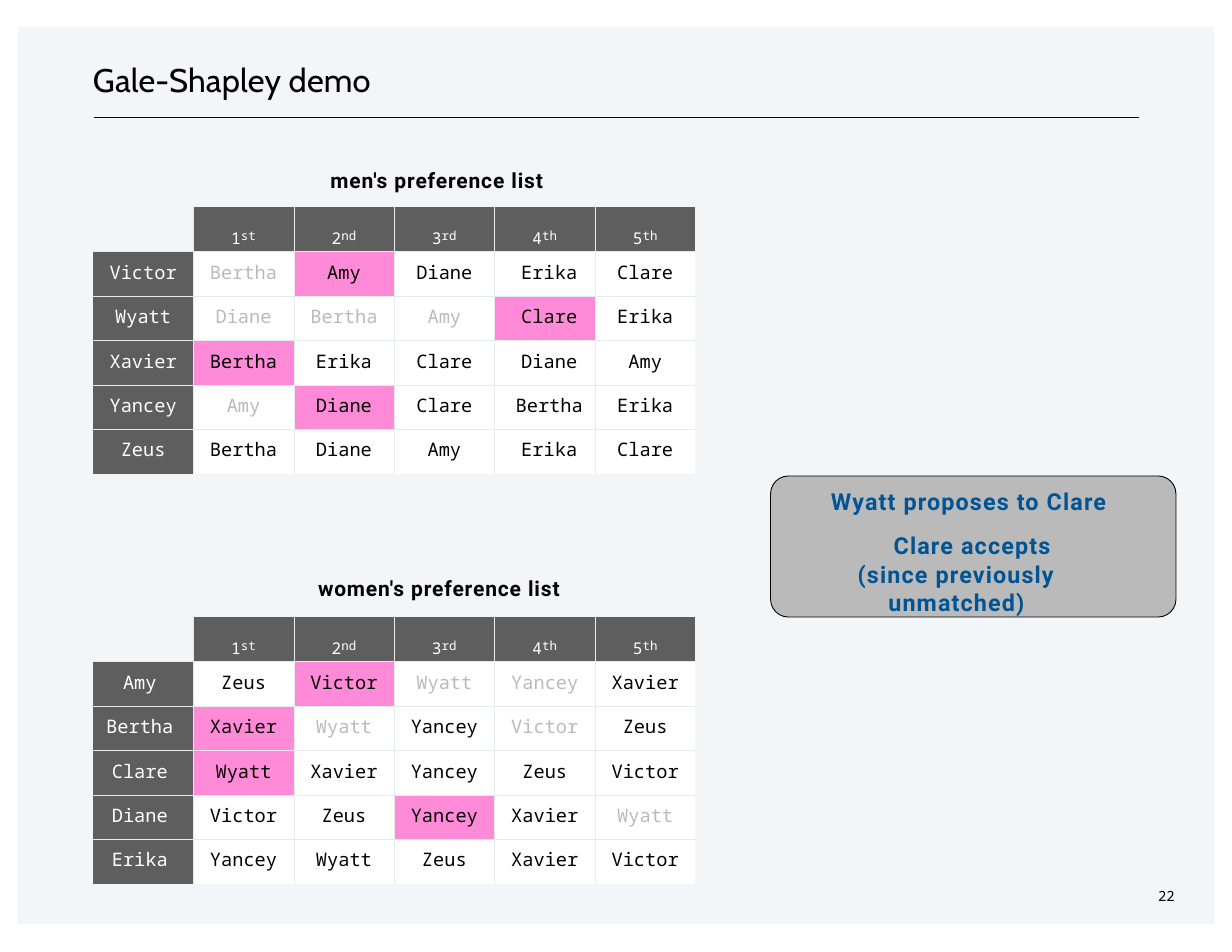
"""Build the Gale-Shapley demo slide with its two preference tables."""
import lxml.etree
import pptx
import pptx.dml.color
import pptx.enum.shapes
import pptx.enum.text
import pptx.oxml.ns
import pptx.util

Inches = pptx.util.Inches
Pt = pptx.util.Pt
RGBColor = pptx.dml.color.RGBColor
Align = pptx.enum.text.PP_ALIGN
Shape = pptx.enum.shapes.MSO_SHAPE
qn = pptx.oxml.ns.qn

BLACK = RGBColor(0x00, 0x00, 0x00)
WHITE = RGBColor(0xFF, 0xFF, 0xFF)
BLUE = RGBColor(0x00, 0x54, 0x93)
PALE = RGBColor(0xF2, 0xF6, 0xF9)
DARK = RGBColor(0x5E, 0x5E, 0x5E)
GRAY = RGBColor(0xBA, 0xBA, 0xBA)
PINK = RGBColor(0xFF, 0x8A, 0xD8)
GRID = RGBColor(0xE7, 0xEA, 0xEB)

ORDINALS = [("1", "st"), ("2", "nd"), ("3", "rd"), ("4", "th"), ("5", "th")]
MATCHED, REJECTED = "*", "-"
MEN = """
Victor -Bertha *Amy Diane Erika Clare
Wyatt -Diane -Bertha -Amy *Clare Erika
Xavier *Bertha Erika Clare Diane Amy
Yancey -Amy *Diane Clare Bertha Erika
Zeus Bertha Diane Amy Erika Clare
"""
WOMEN = """
Amy Zeus *Victor -Wyatt -Yancey Xavier
Bertha *Xavier -Wyatt Yancey -Victor Zeus
Clare *Wyatt Xavier Yancey Zeus Victor
Diane Victor Zeus *Yancey Xavier -Wyatt
Erika Yancey Wyatt Zeus Xavier Victor
"""


def add_run(paragraph, text, *, size, font, color=BLACK, bold=False, spacing=0, baseline=0):
    run = paragraph.add_run()
    run.text = text
    run.font.size = Pt(size)
    run.font.name = font
    run.font.bold = bold
    run.font.color.rgb = color
    properties = run.font._element
    if spacing:
        properties.set("spc", str(round(spacing * 100)))
    if baseline:
        properties.set("baseline", str(baseline * 1000))


class SlideBuilder:
    """Hold the style and the current slide, and add each kind of element."""

    title_font = "Cabin"
    body_font = "Roboto"
    mono_font = "Noto Sans Mono"
    column_width = row_height = None

    def __init__(self, slide):
        self.slide = slide
        self.column_width = Inches(5.38 / 6)
        self.row_height = Inches(2.38 / 6)

    def panel(self, left, top, width, height, fill, kind=Shape.RECTANGLE,
              opacity=None, line=None, radius=None):
        shape = self.slide.shapes.add_shape(
            kind, Inches(left), Inches(top), Inches(width), Inches(height))
        shape.shadow.inherit = False
        shape.fill.solid()
        shape.fill.fore_color.rgb = fill
        if opacity is not None:
            color = shape.fill._xPr.find(".//" + qn("a:srgbClr"))
            lxml.etree.SubElement(color, qn("a:alpha")).set("val", str(opacity * 1000))
        if line is None:
            shape.line.fill.background()
        else:
            shape.line.color.rgb = line
            shape.line.width = Pt(0.56)
        if radius is not None:
            shape.adjustments[0] = radius / min(width, height)

    def rule(self, left, top, right):
        connector = self.slide.shapes.add_connector(
            pptx.enum.shapes.MSO_CONNECTOR.STRAIGHT,
            Inches(left), Inches(top), Inches(right), Inches(top))
        connector.line.color.rgb = BLACK
        connector.line.width = Pt(0.75)
        lxml.etree.SubElement(connector._element.spPr, qn("a:effectLst"))

    def text(self, left, top, width, height, lines, align=Align.LEFT, **style):
        """Add a text box from (text, indent, line spacing, space before) lines."""
        frame = self.slide.shapes.add_textbox(
            Inches(left), Inches(top), Inches(width), Inches(height)).text_frame
        frame.word_wrap = True
        frame.margin_left = frame.margin_right = frame.margin_bottom = 0
        frame.margin_top = Inches(0.01)
        for index, (text, indent, line_spacing, before) in enumerate(lines):
            paragraph = frame.add_paragraph() if index else frame.paragraphs[0]
            paragraph.alignment = align
            paragraph.line_spacing = line_spacing
            paragraph.space_before = Pt(before)
            paragraph._p.get_or_add_pPr().set("marL", str(Inches(indent)))
            add_run(paragraph, text, **style)

    def cell(self, table, row, column, fill, top, before, shift=0):
        """Format one cell and return its paragraph, moved sideways by shift."""
        cell = table.cell(row, column)
        cell.margin_left = Inches(max(2 * shift, 0))
        cell.margin_right = Inches(max(-2 * shift, 0))
        cell.margin_top, cell.margin_bottom = Inches(top), 0
        inner_sides = {"lnL": column > 0, "lnR": column < 5, "lnT": row > 0, "lnB": row < 5}
        properties = cell._tc.get_or_add_tcPr()
        for side, visible in inner_sides.items():
            border = lxml.etree.SubElement(properties, qn("a:" + side), w=str(Pt(0.25)))
            if visible:
                solid = lxml.etree.SubElement(border, qn("a:solidFill"))
                lxml.etree.SubElement(solid, qn("a:srgbClr"), val=str(GRID))
            else:
                lxml.etree.SubElement(border, qn("a:noFill"))
        cell.fill.solid()
        cell.fill.fore_color.rgb = fill
        paragraph = cell.text_frame.paragraphs[0]
        paragraph.alignment = Align.CENTER
        paragraph.space_before = Pt(before)
        return paragraph

    def preference_table(self, top, preferences, shifts):
        rows = [line.split() for line in preferences.strip().splitlines()]
        table_frame = self.slide.shapes.add_table(
            6, 6, Inches(0.83), Inches(top), 6 * self.column_width, 6 * self.row_height)
        table = table_frame.table
        table.first_row = table.horz_banding = False
        for column in table.columns:
            column.width = self.column_width
        for row in table.rows:
            row.height = self.row_height

        self.cell(table, 0, 0, PALE, 0.03, 0)
        for column, (number, suffix) in enumerate(ORDINALS, 1):
            paragraph = self.cell(table, 0, column, DARK, 0.03, 2.1)
            add_run(paragraph, number, size=18, font=self.mono_font, color=WHITE, baseline=-14)
            add_run(paragraph, suffix, size=8, font=self.mono_font, color=WHITE)

        for row, names in enumerate(rows, 1):
            for column, name in enumerate(names):
                fill, color = (WHITE, BLACK) if column else (DARK, WHITE)
                if name.startswith(MATCHED):
                    fill = PINK
                elif name.startswith(REJECTED):
                    color = GRAY
                paragraph = self.cell(table, row, column, fill, 0.07, 5.3, shifts.get(column, 0))
                add_run(paragraph, name.lstrip(MATCHED + REJECTED), size=12,
                        font=self.mono_font, color=color)


def main():
    presentation = pptx.Presentation()
    presentation.slide_width, presentation.slide_height = Inches(11), Inches(8.5)
    builder = SlideBuilder(presentation.slides.add_slide(presentation.slide_layouts[6]))

    builder.panel(0.16, 0.24, 10.68, 8.01, BLUE, opacity=5)
    builder.rule(0.84, 1.05, 10.17)
    builder.text(0.82, 0.52, 2.65, 0.38, [("Gale-Shapley demo", 0.01, 1, 1)],
                 size=21, font=builder.title_font, spacing=0.1)

    builder.preference_table(1.85, MEN, {4: 0.04})
    builder.preference_table(5.51, WOMEN, {0: -0.03})
    for left, top, width, heading in [(2.94, 1.49, 2.06, "men's preference list"),
                                      (2.83, 5.13, 2.34, "women's preference list")]:
        builder.text(left, top, width, 0.25, [(heading, 0.01, 1, 1)],
                     size=13.5, font=builder.body_font, bold=True, spacing=0.6)

    builder.panel(6.88, 4.25, 3.62, 1.26, GRAY, kind=Shape.ROUNDED_RECTANGLE,
                  line=BLACK, radius=0.16)
    builder.text(7.09, 4.21, 2.9, 1.06,
                 [("Wyatt proposes to Clare", 0.22, 1.54, 1),
                  ("Clare accepts", 0.28, 1.54, 0),
                  ("(since previously unmatched)", 0, 1, 0.8)],
                 align=Align.CENTER, size=15, font=builder.body_font, color=BLUE,
                 bold=True, spacing=0.75)
    builder.text(10.3, 7.91, 0.24, 0.18, [("22", 0.04, 1, 0.4)],
                 size=9, font=builder.mono_font)
    presentation.save("out.pptx")


if __name__ == "__main__":
    main()
